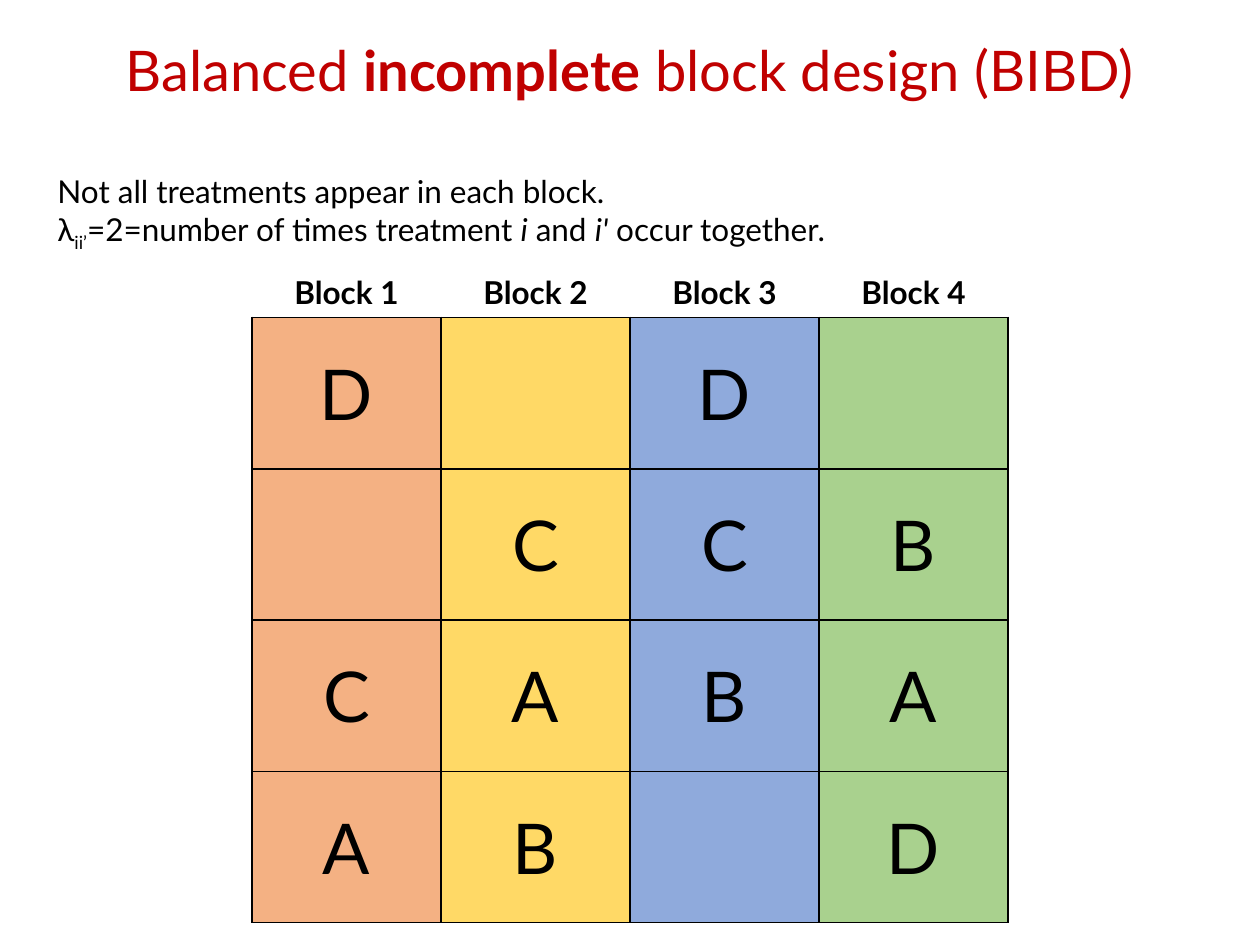
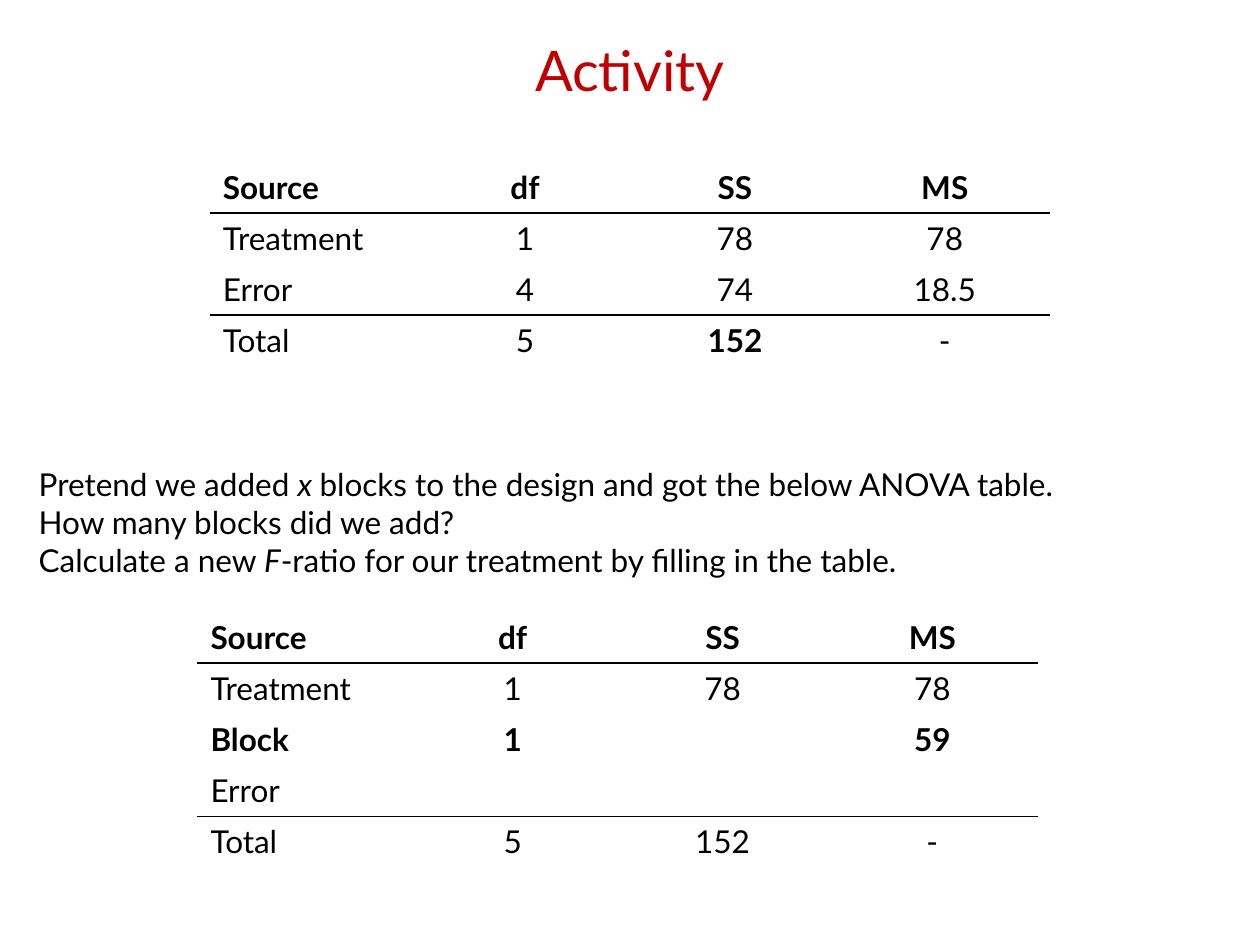
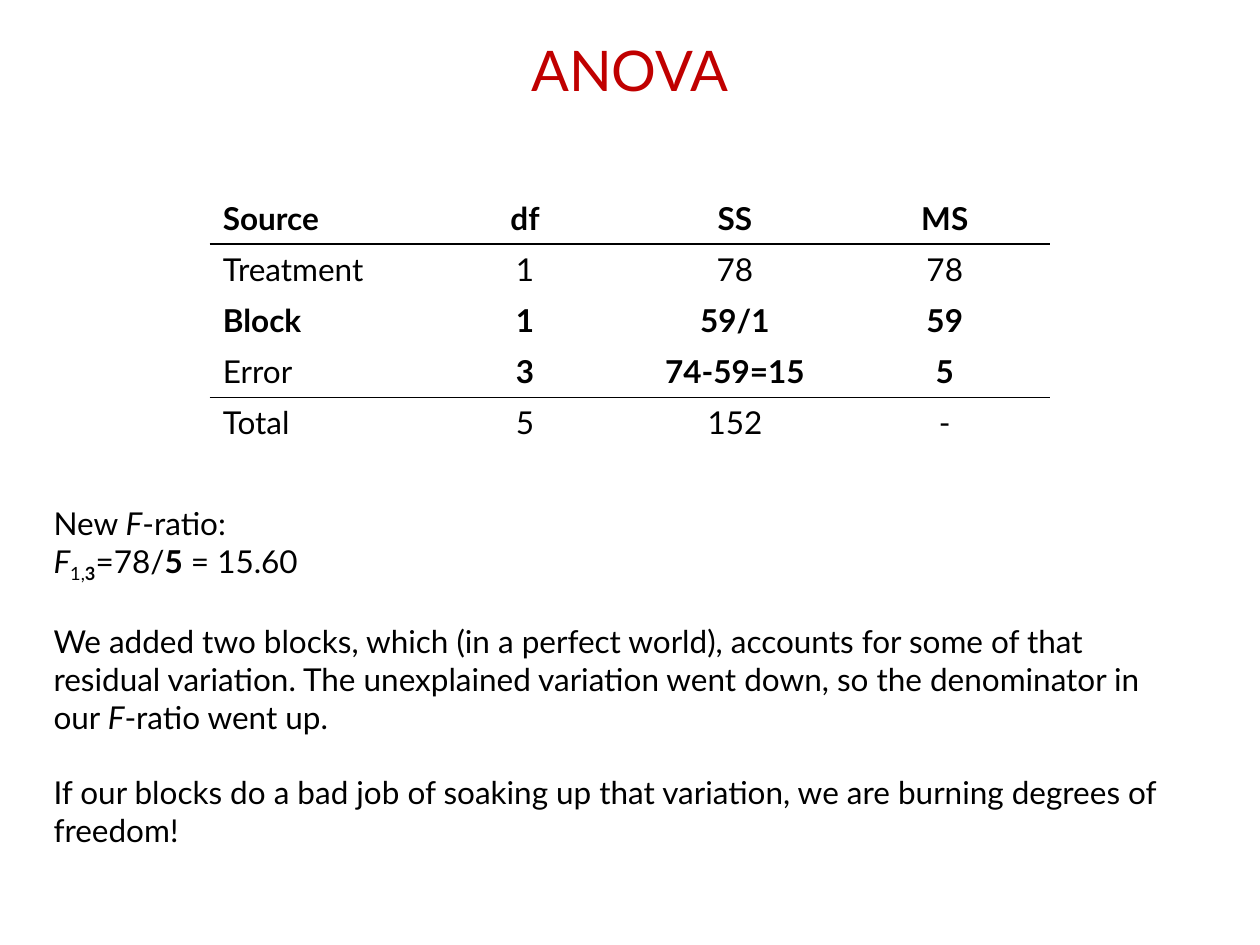
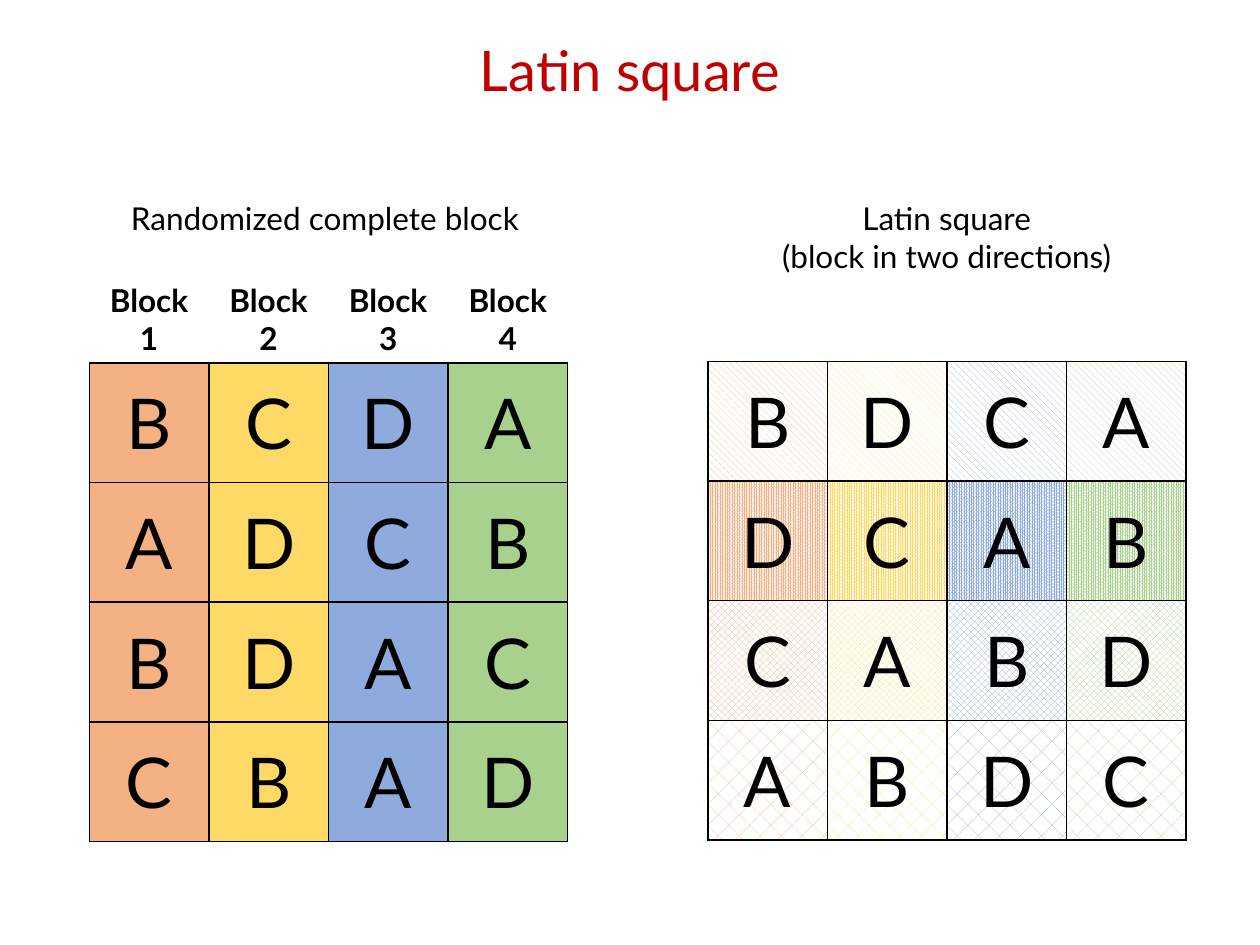
from dataclasses import dataclass

from lxml import etree
from pptx import Presentation, util as u
from pptx.dml.color import RGBColor
from pptx.enum import dml, text
from pptx.oxml import ns


@dataclass(frozen=True)
class Theme:
    font: str = "Lato"
    title_color: str = "C00000"
    ink: str = "000000"
    paper: str = "FFFFFF"
    blocks: tuple = ("F4B183", "FFD966", "8FAADC", "A9D18E")
    title_size: int = 32
    body_size: int = 18
    letter_size: int = 40
    plain_table: str = "{2D5ABB26-0587-4C30-8999-92F81FD0307C}"


theme = Theme()
LEFT, CENTER = text.PP_ALIGN.LEFT, text.PP_ALIGN.CENTER
MIDDLE, BOTTOM = text.MSO_ANCHOR.MIDDLE, text.MSO_ANCHOR.BOTTOM


def write(frame, lines, size=theme.body_size, color=theme.ink, align=LEFT):
    """Fill a frame; a span is a string or (string, style) with b, i, s = bold, italic, subscript."""
    frame.word_wrap = True
    for number, line in enumerate(lines):
        paragraph = frame.add_paragraph() if number else frame.paragraphs[0]
        paragraph.alignment = align
        for span in [line] if isinstance(line, str) else line:
            words, style = (span, "") if isinstance(span, str) else span
            run = paragraph.add_run()
            run.text = words
            run.font.name = theme.font
            run.font.size = u.Pt(size)
            run.font.color.rgb = RGBColor.from_string(color)
            run.font.bold = "b" in style
            run.font.italic = "i" in style
            if "s" in style:
                run.font._element.set("baseline", "-25000")


def add_plain_table(page, left, top, column_width, row_heights, border_of):
    """Add an unstyled four-column table; border_of(row, side) gives a colour or None."""
    row_count = len(row_heights)
    table = page.shapes.add_table(row_count, 4, u.Cm(left), u.Cm(top),
                                  u.Cm(4 * column_width), u.Cm(sum(row_heights))).table
    table.first_row = table.horz_banding = False
    table._tbl.tblPr.find(ns.qn("a:tableStyleId")).text = theme.plain_table
    for column in table.columns:
        column.width = u.Cm(column_width)
    for number, height in enumerate(row_heights):
        table.rows[number].height = u.Cm(height)
        for cell in table.rows[number].cells:
            properties = cell._tc.get_or_add_tcPr()
            for side in "LRTB":
                color = border_of(number, side)
                if color:
                    line = etree.SubElement(properties, ns.qn("a:ln" + side), w=str(u.Pt(1)))
                    fill = etree.SubElement(line, ns.qn("a:solidFill"))
                    etree.SubElement(fill, ns.qn("a:srgbClr"), val=color)
            cell.fill.background()
    return table


deck = Presentation()
deck.slide_width, deck.slide_height = u.Cm(25.4), u.Cm(19.05)

# Slides and their titles
titles = [
    ["Balanced ", ("incomplete", "b"), " block design (BIBD)"],
    "Activity",
    "ANOVA",
    "Latin square",
]
for heading in titles:
    page = deck.slides.add_slide(deck.slide_layouts[5])
    title = page.shapes.title
    title.left, title.top, title.width, title.height = u.Cm(0.25), u.Cm(0.2), u.Cm(24.9), u.Cm(2.54)
    title.line.color.rgb = RGBColor.from_string(theme.paper)
    title.line.width = u.Pt(4.5)
    title.text_frame.vertical_anchor = MIDDLE
    write(title.text_frame, [heading], theme.title_size, theme.title_color, CENTER)
    title.text_frame.paragraphs[0].line_spacing = 0.9
bibd, activity, anova, latin = deck.slides

# Text boxes: page, left, top, width, height, alignment, lines
notes = [
    (bibd, 0.91, 3.35, 17.4, 1.8, LEFT, [
        "Not all treatments appear in each block.",
        ["λ", ("ii’", "s"), "=2=number of times treatment ", ("i", "i"), " and ", ("i'", "i"),
         " occur together."],
    ]),
    (activity, 0.53, 9.25, 23.01, 3.33, LEFT, [
        ["Pretend we added ", ("x ", "i"), "blocks to the design and got the below ANOVA table."],
        "How many blocks did we add?",
        ["Calculate a new ", ("F", "i"), "-ratio for our treatment by filling in the table."],
    ]),
    (anova, 0.83, 10.03, 23.01, 7.19, LEFT, [
        ["New ", ("F", "i"), "-ratio:"],
        [("F", "i"), ("1,", "s"), ("3", "bs"), "=78/", ("5", "b"), " = 15.60"],
        ["We added two blocks, which (in a perfect world), accounts for some of that residual "
         "variation. The unexplained variation went down, so the denominator in our ",
         ("F", "i"), "-ratio went up."],
        "If our blocks do a bad job of soaking up that variation, we are burning degrees of freedom!",
    ]),
    (latin, 2.39, 3.89, 8.89, 1.02, LEFT, ["Randomized complete block"]),
    (latin, 15.34, 3.89, 7.49, 1.8, CENTER, ["Latin square", "(block in two directions)"]),
]
for page, left, top, width, height, align, lines in notes:
    box = page.shapes.add_textbox(u.Cm(left), u.Cm(top), u.Cm(width), u.Cm(height))
    write(box.text_frame, lines, align=align)
    if page is anova:
        for paragraph in box.text_frame.paragraphs[2:]:
            paragraph.space_before = u.Pt(1.2 * theme.body_size)

# Block designs: page, left, top, cell size, header height, labelled, row patterns, letters
pattern = dml.MSO_PATTERN
row_patterns = [pattern.WIDE_DOWNWARD_DIAGONAL, pattern.PERCENT_90,
                pattern.SOLID_DIAMOND, pattern.DIAGONAL_BRICK]
designs = [
    (bibd, 5.08, 3.35, (3.81, 3.05), 3.05, True, None, ["D D ", " CCB", "CABA", "AB D"]),
    (latin, 1.8, 4.91, (2.41, 2.41), 2.41, True, None, ["BCDA", "ADCB", "BDAC", "CBAD"]),
    (latin, 14.27, 4.93, (2.41, 2.41), 2.36, False, row_patterns, ["BDCA", "DCAB", "CABD", "ABDC"]),
]
for page, left, top, (width, height), header, labelled, patterns, letters in designs:
    table = add_plain_table(page, left, top, width, [header] + [height] * 4,
                            lambda row, side: theme.ink if row or side == "B" else None)
    for column, block_color in enumerate(theme.blocks):
        if labelled:
            label = table.cell(0, column)
            label.vertical_anchor = BOTTOM
            write(label.text_frame, [[(f"Block {column + 1}", "b")]], align=CENTER)
        for row in range(4):
            cell = table.cell(row + 1, column)
            cell.vertical_anchor = MIDDLE
            if patterns:
                cell.fill.patterned()
                cell.fill.pattern = patterns[row]
                cell.fill.back_color.rgb = RGBColor.from_string(theme.paper)
            else:
                cell.fill.solid()
            cell.fill.fore_color.rgb = RGBColor.from_string(block_color)
            letter = letters[row][column].strip()
            if letter:
                write(cell.text_frame, [letter], theme.letter_size, align=CENTER)

# ANOVA tables: page, left, top, rows below the shared header
header_row = [(name, "b") for name in ("Source", "df", "SS", "MS")]
treatment_row = ["Treatment", "1", "78", "78"]
total_row = ["Total", "5", "152", "-"]
results = [
    (activity, 4.24, 3.26, [
        treatment_row,
        ["Error", "4", "74", "18.5"],
        ["Total", "5", ("152", "b"), "-"],
    ]),
    (activity, 3.99, 12.34, [
        treatment_row,
        [("Block", "b"), ("1", "b"), "", ("59", "b")],
        ["Error", "", "", ""],
        total_row,
    ]),
    (anova, 4.24, 3.89, [
        treatment_row,
        [("Block", "b"), ("1", "b"), ("59/1", "b"), ("59", "b")],
        ["Error", ("3", "b"), ("74-59=15", "b"), ("5", "b")],
        total_row,
    ]),
]
for page, left, top, body_rows in results:
    rows = [header_row] + body_rows
    last = len(rows) - 1
    ruled = {(0, "B"), (1, "T"), (last - 1, "B"), (last, "T")}
    table = add_plain_table(page, left, top, 4.23, [1.03] * len(rows),
                            lambda row, side: theme.ink if (row, side) in ruled else theme.paper)
    for row, values in enumerate(rows):
        for column, value in enumerate(values):
            if value:
                write(table.cell(row, column).text_frame, [[value]],
                      align=CENTER if column else LEFT)

deck.save("out.pptx")
